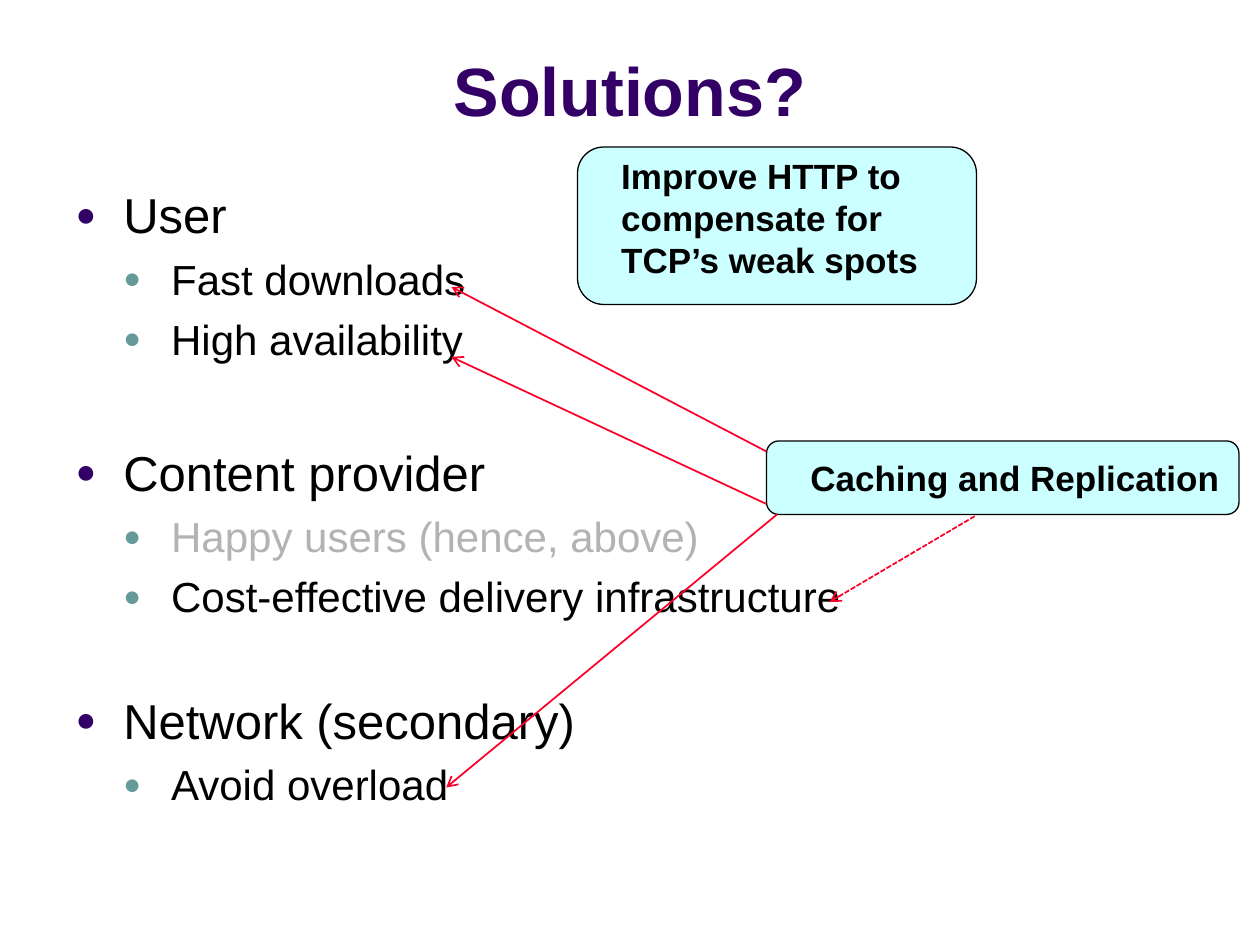
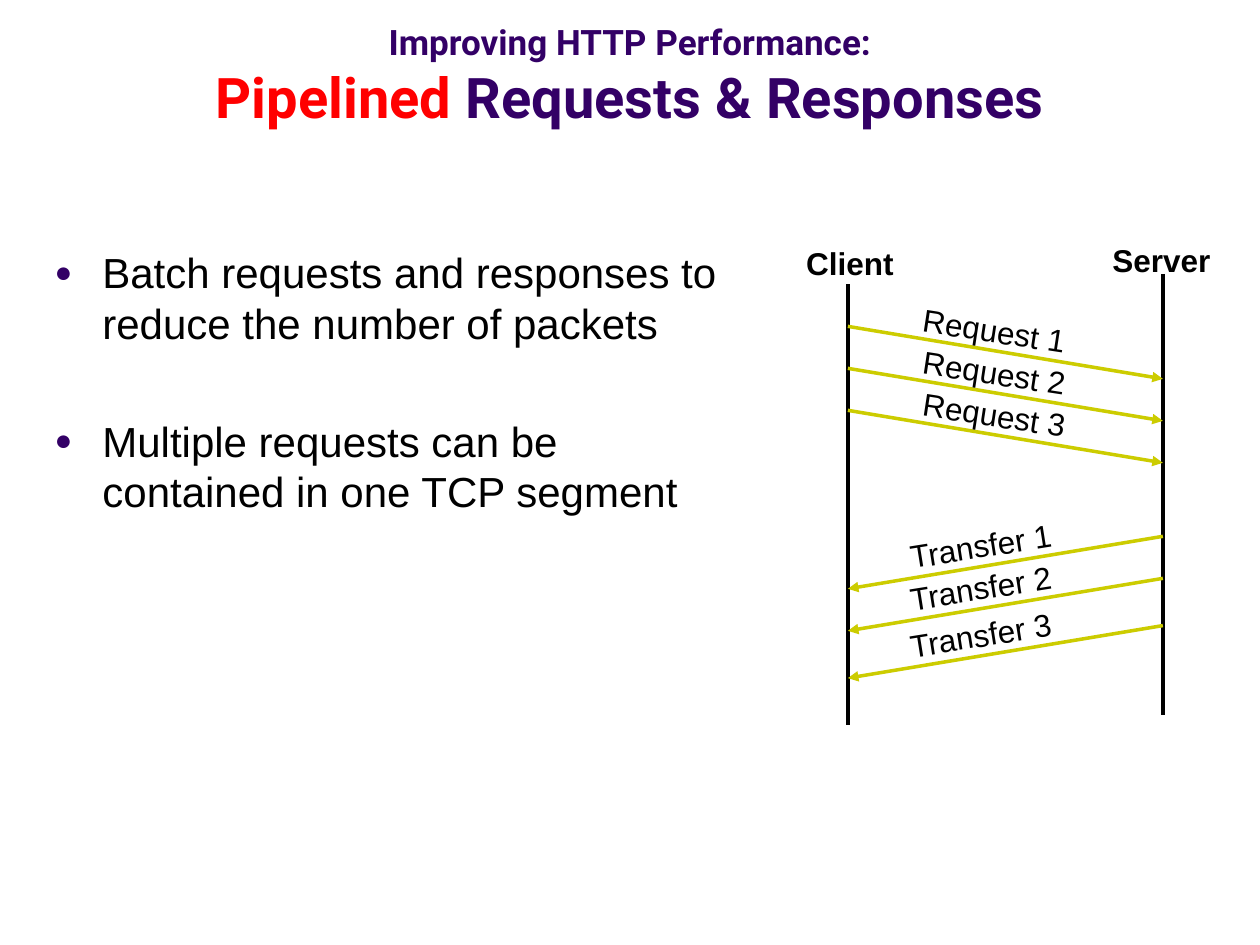
import pptx
import pptx.util
import pptx.dml.color
import pptx.enum.dml
import pptx.enum.shapes
import pptx.enum.text
import pptx.oxml
import pptx.oxml.ns
import lxml.etree

Pt = pptx.util.Pt
RGB = pptx.dml.color.RGBColor.from_string
qn = pptx.oxml.ns.qn
Align = pptx.enum.text.PP_ALIGN
Anchor = pptx.enum.text.MSO_ANCHOR
AutoSize = pptx.enum.text.MSO_AUTO_SIZE

COLORS = {
    "title": "330066",
    "sub_bullet": "669999",
    "text": "000000",
    "muted": "B3B3B3",
    "highlight": "FF0000",
    "callout": "CCFFFF",
    "pointer": "FC0128",
    "message": "CCCC00",
}
BULLETS = [COLORS["title"], COLORS["sub_bullet"]]
INDENT = 27.3


def add_line(slide, start, end, color, width, head=None):
    line = slide.shapes.add_connector(
        pptx.enum.shapes.MSO_CONNECTOR.STRAIGHT, *[Pt(value) for value in start + end])
    line.line.color.rgb = RGB(COLORS[color])
    line.line.width = Pt(width)
    properties = line._element.spPr
    if head:
        lxml.etree.SubElement(properties.find(qn("a:ln")), qn("a:tailEnd"), type=head)
    lxml.etree.SubElement(properties, qn("a:effectLst"))
    return line


def fill_list(body, box, items):
    body.left, body.top, body.width, body.height = [Pt(value) for value in box]
    frame = body.text_frame
    frame.auto_size = AutoSize.NONE
    for index, (text, level, size, color, space) in enumerate(items):
        paragraph = frame.paragraphs[0] if index == 0 else frame.add_paragraph()
        paragraph.text = text
        paragraph.level = level
        paragraph.space_before = Pt(space)
        paragraph.font.name = "Arial"
        paragraph.font.size = Pt(size)
        paragraph.font.color.rgb = RGB(COLORS[color])
        properties = paragraph._p.get_or_add_pPr()
        properties.set("marL", str(Pt(INDENT * (level + 1))))
        properties.set("indent", str(Pt(-INDENT)))
        bullet_color = lxml.etree.Element(qn("a:buClr"))
        lxml.etree.SubElement(bullet_color, qn("a:srgbClr"), val=BULLETS[level])
        bullet_size = lxml.etree.Element(qn("a:buSzPct"), val="70000")
        bullet = lxml.etree.Element(qn("a:buChar"), char="●")
        position = list(properties).index(properties.find(qn("a:spcBef"))) + 1
        properties[position:position] = [bullet_color, bullet_size, bullet]


presentation = pptx.Presentation()
presentation.slide_width = Pt(720)
presentation.slide_height = Pt(540)

titles = [
    ("Arial", [[("Solutions?", 39, "title")]]),
    ("Roboto", [
        [("Improving HTTP Performance:", 20, "title")],
        [("Pipelined", 32, "highlight"), (" Requests & Responses", 32, "title")],
    ]),
]
for font_name, lines in titles:
    slide = presentation.slides.add_slide(presentation.slide_layouts[1])
    title = slide.shapes.title
    title.left, title.top, title.width, title.height = Pt(0), Pt(9.4), Pt(720), Pt(68.4)
    title.text_frame.auto_size = AutoSize.NONE
    title.text_frame.vertical_anchor = Anchor.BOTTOM
    paragraph = title.text_frame.paragraphs[0]
    paragraph.alignment = Align.CENTER
    paragraph.font.name = font_name
    paragraph.font.bold = True
    for number, line in enumerate(lines):
        if number:
            paragraph.add_line_break()
        for text, size, color in line:
            run = paragraph.add_run()
            run.text = text
            run.font.size = Pt(size)
            run.font.color.rgb = RGB(COLORS[color])

solutions, pipelining = presentation.slides

fill_list(solutions.placeholders[1], (36, 102, 672, 381), [
    ("User", 0, 28, "text", 6.4),
    ("Fast downloads", 1, 24, "text", 5.5),
    ("High availability", 1, 24, "text", 5.5),
    ("Content provider", 0, 28, "text", 45),
    ("Happy users (hence, above)", 1, 24, "muted", 5.5),
    ("Cost-effective delivery infrastructure", 1, 24, "text", 5.5),
    ("Network (secondary)", 0, 28, "text", 39.5),
    ("Avoid overload", 1, 24, "text", 5.5),
])

callouts = [
    ("Caching and Replication", (438, 252, 270, 42), 23, Anchor.MIDDLE),
    ("Improve HTTP to\vcompensate for\vTCP’s weak spots", (330, 84, 228, 90), 20.6, Anchor.TOP),
]
for text, box, left_margin, anchor in callouts:
    callout = solutions.shapes.add_shape(
        pptx.enum.shapes.MSO_SHAPE.ROUNDED_RECTANGLE, *[Pt(value) for value in box])
    callout.shadow.inherit = False
    callout.fill.solid()
    callout.fill.fore_color.rgb = RGB(COLORS["callout"])
    callout.line.color.rgb = RGB(COLORS["text"])
    callout.line.width = Pt(0.75)
    frame = callout.text_frame
    frame.word_wrap = True
    frame.vertical_anchor = anchor
    frame.margin_left, frame.margin_right = Pt(left_margin), Pt(0)
    frame.margin_top = frame.margin_bottom = Pt(0)
    paragraph = frame.paragraphs[0]
    paragraph.text = text
    paragraph.alignment = Align.LEFT
    paragraph.font.name = "Arial"
    paragraph.font.size = Pt(20)
    paragraph.font.bold = True
    paragraph.font.color.rgb = RGB(COLORS["text"])

pointers = [
    ((438, 258), (258, 164)),
    ((438, 288), (258, 204)),
    ((444, 294), (255, 450)),
    ((557, 295), (474, 344)),
]
for start, end in pointers:
    pointer = add_line(solutions, start, end, "pointer", 1, "arrow")
pointer.line.dash_style = pptx.enum.dml.MSO_LINE.SQUARE_DOT

fill_list(pipelining.placeholders[1], (24, 137.5, 408, 317), [
    ("Batch requests and responses to reduce the number of packets", 0, 24, "text", 5.5),
    ("Multiple requests can be contained in one TCP segment", 0, 24, "text", 38.6),
])

client_x, server_x = 484.5, 664.5
add_line(pipelining, (client_x, 162.5), (client_x, 414.5), "text", 2)
add_line(pipelining, (server_x, 156.5), (server_x, 408.5), "text", 2)

labels = [
    ("Client", (453.6, 135.6, 66), 0, True),
    ("Server", (628.6, 133.9, 72), 0, True),
]
exchanges = [
    ("Request", client_x, server_x, (186.5, 210.5, 234.5), 520, -12, 8.7),
    ("Transfer", server_x, client_x, (306.5, 330.5, 357.5), 512.6, -9.5, -9.1),
]
for name, from_x, to_x, starts, label_x, label_shift, rotation in exchanges:
    for number, y in enumerate(starts, 1):
        add_line(pipelining, (from_x, y), (to_x, y + 30), "message", 2, "triangle")
        labels.append((f"{name} {number}", (label_x, y + label_shift, 98.5), rotation, False))

for text, box, rotation, bold in labels:
    label = pipelining.shapes.add_textbox(*[Pt(value) for value in box], Pt(29.5))
    label.rotation = rotation
    label.text_frame.word_wrap = False
    label.text_frame.auto_size = AutoSize.SHAPE_TO_FIT_TEXT
    paragraph = label.text_frame.paragraphs[0]
    paragraph.text = text
    paragraph.font.name = "Arial"
    paragraph.font.size = Pt(18)
    paragraph.font.bold = bold
    paragraph.font.color.rgb = RGB(COLORS["text"])

presentation.save("out.pptx")
